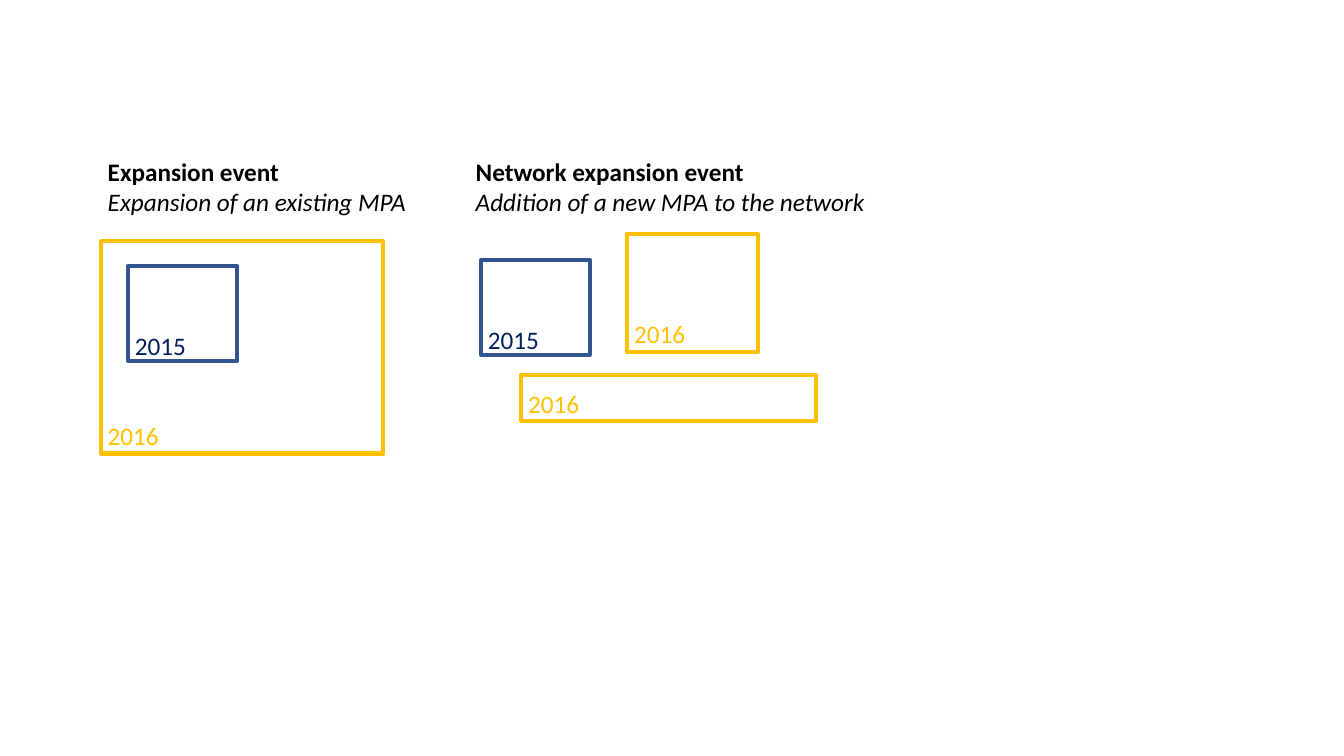
from dataclasses import dataclass

from pptx import Presentation
from pptx.dml.color import RGBColor
from pptx.enum.shapes import MSO_SHAPE
from pptx.enum.text import MSO_AUTO_SIZE
from pptx.util import Inches, Pt


@dataclass(frozen=True)
class Theme:
    font: str = "Calibri"
    size: int = 18
    line: int = 3
    ink: str = "000000"
    navy: str = "002060"
    blue: str = "325491"
    gold: str = "FFC000"


class Board:
    """Draws on one slide with a grid of tenth-inch columns and rows."""

    def __init__(self, slide, theme):
        self.slide = slide
        self.theme = theme

    def place(self, *cells):
        return [Inches(cell / 10) for cell in cells]

    def text(self, area, lines, color):
        frame = self.slide.shapes.add_textbox(*self.place(*area)).text_frame
        frame.word_wrap = False
        frame.auto_size = MSO_AUTO_SIZE.SHAPE_TO_FIT_TEXT
        for index, (words, bold, slant) in enumerate(lines):
            para = frame.add_paragraph() if index else frame.paragraphs[0]
            para.text = words
            font = para.font
            font.name = self.theme.font
            font.size = Pt(self.theme.size)
            font.bold = bold
            font.italic = slant
            font.color.rgb = RGBColor.from_string(color)

    def head(self, left, width, title, note):
        lines = [(title, True, False), (note, False, True)]
        self.text((left, 15, width, 7.1), lines, self.theme.ink)

    def box(self, area, color):
        shape = self.slide.shapes.add_shape(MSO_SHAPE.RECTANGLE, *self.place(*area))
        shape.shadow.inherit = False
        shape.fill.background()
        shape.line.color.rgb = RGBColor.from_string(color)
        shape.line.width = Pt(self.theme.line)

    def zone(self, area, year):
        theme = self.theme
        edge, ink, lift = {
            "2015": (theme.blue, theme.navy, 3.5),
            "2016": (theme.gold, theme.gold, 3.8),
        }[year]
        left, top, _, height = area
        self.box(area, edge)
        label = (left - 0.3, top + height - lift, 7.1, 4)
        self.text(label, [(year, False, False)], ink)


def main():
    deck = Presentation()
    deck.slide_width, deck.slide_height = Inches(13.33), Inches(7.5)
    board = Board(deck.slides.add_slide(deck.slide_layouts[6]), Theme())

    board.head(9.7, 32.5, "Expansion event", "Expansion of an existing MPA")
    board.head(46.2, 41, "Network expansion event", "Addition of a new MPA to the network")

    zones = [
        ((12.7, 26.4, 10.8, 9.4), "2015"),
        ((10, 23.9, 28, 21.1), "2016"),
        ((47.7, 25.8, 10.8, 9.4), "2015"),
        ((51.7, 37.2, 29.2, 4.6), "2016"),
        ((62.2, 23.2, 13, 11.7), "2016"),
    ]
    for area, year in zones:
        board.zone(area, year)

    deck.save("out.pptx")


if __name__ == "__main__":
    main()
